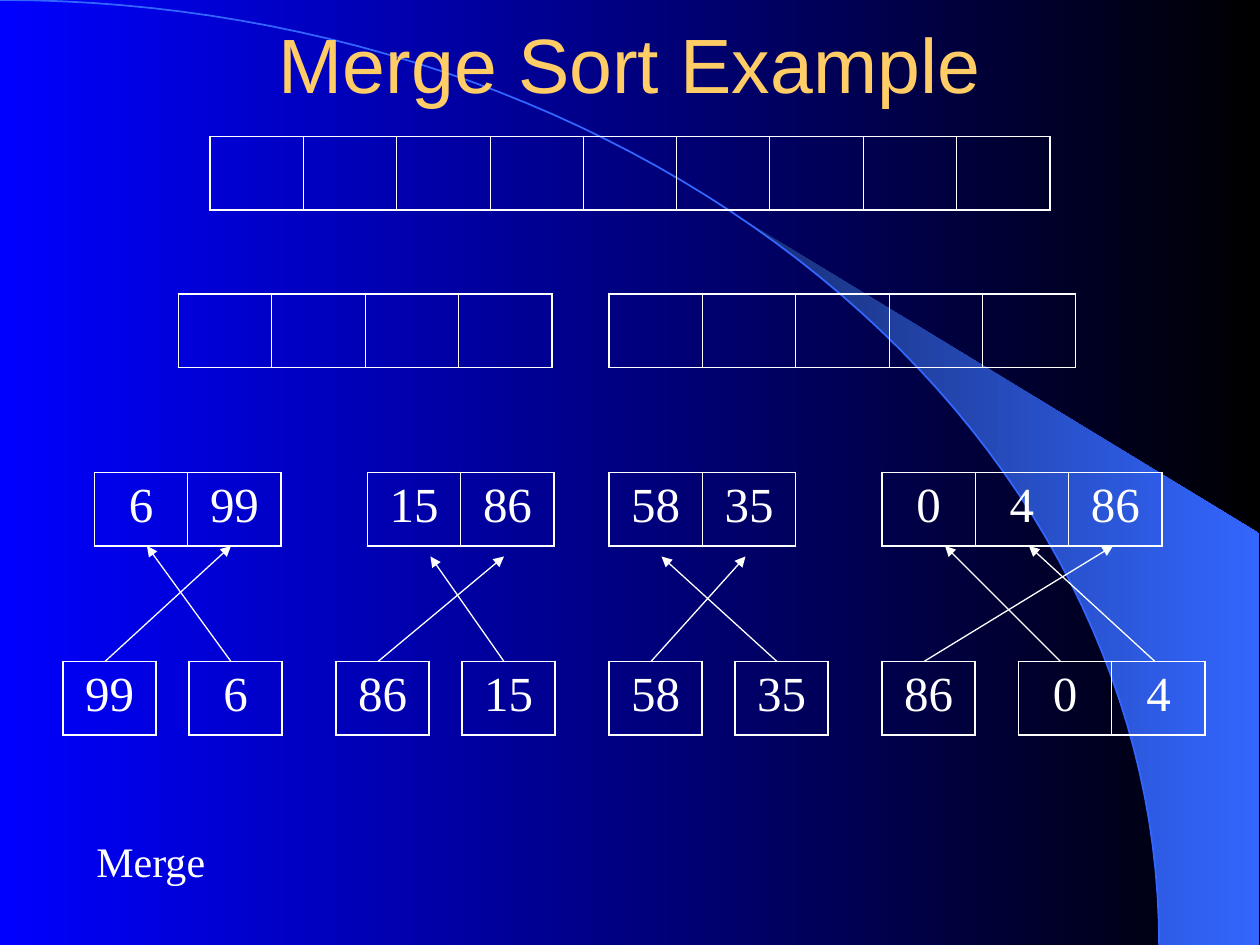
from dataclasses import dataclass
from math import asin, cos, pi, sin

from lxml.etree import SubElement
from pptx import Presentation
from pptx.dml.color import RGBColor
from pptx.dml.fill import FillFormat
from pptx.enum.shapes import MSO_CONNECTOR
from pptx.enum.text import MSO_ANCHOR, PP_ALIGN
from pptx.oxml.ns import qn
from pptx.slide import Slide
from pptx.util import Inches, Pt


@dataclass(frozen=True)
class Theme:
    white: str = "FFFFFF"
    title: str = "FFCC66"
    accent: str = "3366FF"
    accent_dark: str = "182F76"
    bg_left: str = "0000FF"
    bg_right: str = "000000"
    heading_font: str = "Arial"
    body_font: str = "Times New Roman"
    title_size: int = 44
    number_size: int = 28
    label_size: int = 24
    outer_border: float = 1.08
    inner_border: float = 0.45
    arrow_width: float = 0.75


@dataclass(frozen=True)
class NumberArray:
    col: int
    row: int
    values: tuple[str, ...]


@dataclass(frozen=True)
class Arrow:
    start: int
    end: int
    end_row: int


THEME = Theme()
COLS, ROWS = 120, 90
WIDTH, HEIGHT = Inches(10), Inches(7.5)
CELL_COLS, CELL_ROWS = 80 / 9, 7
TOP_ROW, HALVES_ROW, PAIRS_ROW, SINGLES_ROW = 13, 28, 45, 63

ARRAYS = (
    NumberArray(20, TOP_ROW, ("",) * 9),
    NumberArray(17, HALVES_ROW, ("",) * 4),
    NumberArray(58, HALVES_ROW, ("",) * 5),
    NumberArray(9, PAIRS_ROW, ("6", "99")),
    NumberArray(35, PAIRS_ROW, ("15", "86")),
    NumberArray(58, PAIRS_ROW, ("58", "35")),
    NumberArray(84, PAIRS_ROW, ("0", "4", "86")),
    NumberArray(6, SINGLES_ROW, ("99",)),
    NumberArray(18, SINGLES_ROW, ("6",)),
    NumberArray(32, SINGLES_ROW, ("86",)),
    NumberArray(44, SINGLES_ROW, ("15",)),
    NumberArray(58, SINGLES_ROW, ("58",)),
    NumberArray(70, SINGLES_ROW, ("35",)),
    NumberArray(84, SINGLES_ROW, ("86",)),
    NumberArray(97, SINGLES_ROW, ("0", "4")),
)

ARROWS = (
    Arrow(10, 22, 52), Arrow(22, 14, 52),
    Arrow(36, 48, 53), Arrow(48, 41, 53),
    Arrow(62, 71, 53), Arrow(74, 63, 53),
    Arrow(101, 90, 52), Arrow(88, 106, 52), Arrow(110, 98, 52),
)


def x(col: float) -> int:
    return round(WIDTH * col / COLS)


def y(row: float) -> int:
    return round(HEIGHT * row / ROWS)


def rgb(color: str) -> RGBColor:
    return RGBColor.from_string(color)


def set_gradient(fill: FillFormat, first: str, last: str) -> None:
    fill.gradient()
    fill.gradient_angle = 0
    for stop, color, position in zip(fill.gradient_stops, (first, last), (0, 1)):
        stop.color.rgb = rgb(color)
        stop.position = position


def arc_points(start: float, steps: int = 60) -> list[tuple[int, int]]:
    angles = (start + (pi / 2 - start) * i / steps for i in range(steps + 1))
    return [(round(WIDTH * 0.92 * sin(a)), round(HEIGHT * (1 - cos(a)))) for a in angles]


def add_freeform(s: Slide, points: list[tuple[int, int]], close: bool):
    builder = s.shapes.build_freeform(*points[0], scale=1.0)
    builder.add_line_segments(points[1:], close=close)
    sp = builder.convert_to_shape()
    sp.shadow.inherit = False
    return sp


def add_backdrop(s: Slide) -> None:
    set_gradient(s.background.fill, THEME.bg_left, THEME.bg_right)
    edge = [(x(119.9), y(ROWS)), (x(119.9), y(50.8))]
    crescent = add_freeform(s, arc_points(asin(0.64)) + edge, True)
    set_gradient(crescent.fill, THEME.accent_dark, THEME.accent)
    crescent.line.fill.background()
    arc = add_freeform(s, arc_points(0), False)
    arc.fill.background()
    arc.line.color.rgb = rgb(THEME.accent)
    arc.line.width = Pt(1)


def format_text(p, font: str, size: int, color: str, align: PP_ALIGN) -> None:
    p.alignment = align
    for r in p.runs:
        r.font.name = font
        r.font.size = Pt(size)
        r.font.color.rgb = rgb(color)


def add_text(s: Slide, text: str, box: tuple[int, int, int, int], font: str,
             size: int, color: str, align: PP_ALIGN, anchor: MSO_ANCHOR) -> None:
    col, row, cols, rows = box
    tf = s.shapes.add_textbox(x(col), y(row), x(cols), y(rows)).text_frame
    tf.word_wrap = True
    tf.vertical_anchor = anchor
    tf.text = text
    format_text(tf.paragraphs[0], font, size, color, align)


def set_border(cell, side: str, width: float) -> None:
    ln = SubElement(cell._tc.get_or_add_tcPr(), qn(f"a:ln{side}"), w=str(Pt(width)))
    SubElement(SubElement(ln, qn("a:solidFill")), qn("a:srgbClr"), val=THEME.white)


def add_array(s: Slide, array: NumberArray) -> None:
    count = len(array.values)
    table = s.shapes.add_table(1, count, x(array.col), y(array.row),
                               x(CELL_COLS * count), y(CELL_ROWS)).table
    table.first_row = table.horz_banding = False
    for i, value in enumerate(array.values):
        table.columns[i].width = x(CELL_COLS)
        cell = table.cell(0, i)
        outer = {"L": i == 0, "R": i == count - 1, "T": True, "B": True}
        for side, is_outer in outer.items():
            set_border(cell, side, THEME.outer_border if is_outer else THEME.inner_border)
        cell.fill.background()
        if value:
            cell.text_frame.text = value
            format_text(cell.text_frame.paragraphs[0], THEME.body_font,
                        THEME.number_size, THEME.white, PP_ALIGN.CENTER)


def add_arrow(s: Slide, arrow: Arrow) -> None:
    line = s.shapes.add_connector(MSO_CONNECTOR.STRAIGHT, x(arrow.start), y(SINGLES_ROW),
                                  x(arrow.end), y(arrow.end_row))
    line.line.color.rgb = rgb(THEME.white)
    line.line.width = Pt(THEME.arrow_width)
    SubElement(line.line._get_or_add_ln(), qn("a:tailEnd"), type="triangle")
    SubElement(line._element.spPr, qn("a:effectLst"))


def main() -> None:
    prs = Presentation()
    prs.slide_width, prs.slide_height = WIDTH, HEIGHT
    s = prs.slides.add_slide(prs.slide_layouts[6])
    add_backdrop(s)
    add_text(s, "Merge Sort Example", (9, 0, 102, 12), THEME.heading_font,
             THEME.title_size, THEME.title, PP_ALIGN.CENTER, MSO_ANCHOR.MIDDLE)
    for array in ARRAYS:
        add_array(s, array)
    add_text(s, "Merge", (8, 79, 61, 6), THEME.body_font,
             THEME.label_size, THEME.white, PP_ALIGN.LEFT, MSO_ANCHOR.TOP)
    for arrow in ARROWS:
        add_arrow(s, arrow)
    prs.save("out.pptx")


if __name__ == "__main__":
    main()
